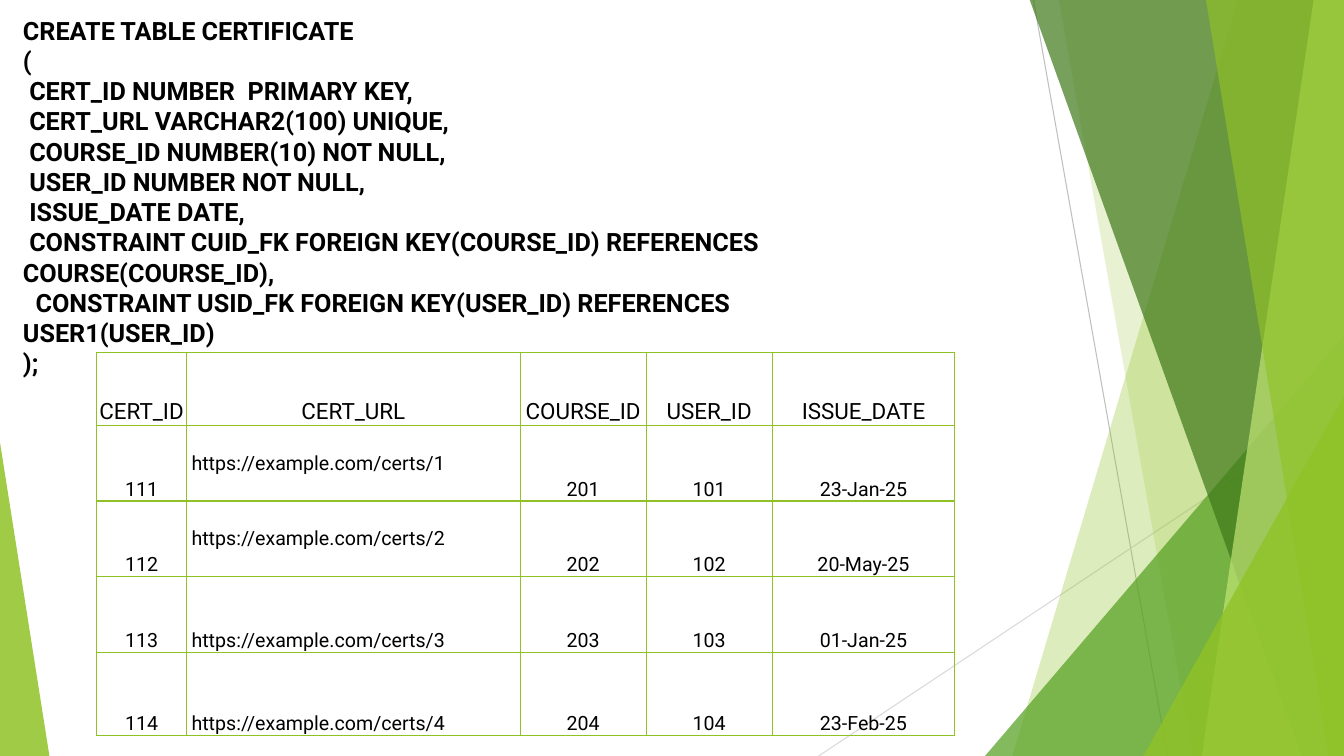
from lxml.etree import SubElement as Sub
from pptx import Presentation
from pptx.dml.color import RGBColor as Rgb
from pptx.enum.shapes import MSO_CONNECTOR as Conn, MSO_SHAPE as Shape
from pptx.enum.text import MSO_ANCHOR as Anchor, MSO_AUTO_SIZE as Auto, PP_ALIGN as Align
from pptx.oxml.ns import qn
from pptx.util import Inches, Pt

WIDE, HIGH, TOP = 13.33, 7.5, -0.01
HUES = {"lime": "90C226", "green": "54A021", "dark": "3F7819", "pale": "C0E474",
        "gray": "BFBFBF", "mist": "D9D9D9", "ink": "000000"}
RAYS = [(10.25, 0, 11.58, HIGH, "gray"), (WIDE, 4.03, 8.12, HIGH, "mist")]
BACK = [(12.28, 10.04, "lime", 30), (10.5, 11.83, "lime", 20)]
FRONT = [(10.21, 12.91, "dark", 70), (13.03, 11.92, "pale", 70), (11.96, 13.18, "lime", 65)]
CODE = """CREATE TABLE CERTIFICATE
(
 CERT_ID NUMBER  PRIMARY KEY,
 CERT_URL VARCHAR2(100) UNIQUE,
 COURSE_ID NUMBER(10) NOT NULL,
 USER_ID NUMBER NOT NULL,
 ISSUE_DATE DATE,
 CONSTRAINT CUID_FK FOREIGN KEY(COURSE_ID) REFERENCES COURSE(COURSE_ID),
  CONSTRAINT USID_FK FOREIGN KEY(USER_ID) REFERENCES
USER1(USER_ID)
);"""
HEADS = ["CERT_ID", "CERT_URL", "COURSE_ID", "USER_ID", "ISSUE_DATE"]
DATES = ["23-Jan-25", "20-May-25", "01-Jan-25", "23-Feb-25"]
COLS = [0.89, 3.31, 1.25, 1.25, 1.81]
ROWS = [0.72, 0.75, 0.75, 0.75, 0.83]


def style(item, form):
    """Set each attribute of a format dict."""
    for name, value in form.items():
        setattr(item, name, value)


def write(para, text, size, bold=False):
    """Put text in a paragraph with its font."""
    para.text = text
    style(para.font, {"name": "Roboto", "size": Pt(size), "bold": bold})
    para.font.color.rgb = Rgb.from_string(HUES["ink"])


def tint(shape, hue, alpha):
    """Fill a shape with a see-through colour and no line."""
    shape.shadow.inherit = False
    shape.line.fill.background()
    shape.fill.solid()
    shape.fill.fore_color.rgb = Rgb.from_string(HUES[hue])
    color = shape.fill._xPr.find(qn("a:solidFill"))[0]
    Sub(color, qn("a:alpha"), val=str(alpha * 1000))


def ray(shapes, x1, y1, x2, y2, hue):
    """Draw a thin straight line."""
    line = shapes.add_connector(Conn.STRAIGHT, *map(Inches, (x1, y1, x2, y2)))
    line.line.width = Pt(0.75)
    line.line.color.rgb = Rgb.from_string(HUES[hue])
    Sub(line._element.spPr, qn("a:effectLst"))


def pane(shapes, top, foot, hue, alpha):
    """Draw a slanted pane that reaches the right edge."""
    form = shapes.build_freeform(Inches(top), Inches(TOP))
    ends = [(WIDE, TOP), (WIDE, HIGH), (foot, HIGH)]
    form.add_line_segments([(Inches(x), Inches(y)) for x, y in ends])
    tint(form.convert_to_shape(), hue, alpha)


def wedge(shapes, left, top, wide, apex, hue, alpha):
    """Draw a triangle that stands on the bottom edge."""
    box = map(Inches, (left, top, wide, HIGH - top))
    shape = shapes.add_shape(Shape.ISOSCELES_TRIANGLE, *box)
    shape.adjustments[0] = apex
    tint(shape, hue, alpha)


def code(shapes):
    """Add the table statement, one paragraph a line."""
    box = shapes.add_textbox(*map(Inches, (0.13, 0.1, 9.87, 3.74)))
    frame = box.text_frame
    style(frame, {"word_wrap": True, "auto_size": Auto.SHAPE_TO_FIT_TEXT})
    for num, text in enumerate(CODE.split("\n")):
        para = frame.add_paragraph() if num else frame.paragraphs[0]
        write(para, text, 18, True)


def edge(cell):
    """Draw the four borders of a cell."""
    props = cell._tc.get_or_add_tcPr()
    for num, side in enumerate(("lnL", "lnR", "lnT", "lnB")):
        line = props.makeelement(qn("a:" + side), {"w": str(Pt(1))})
        props.insert(num, line)
        fill = Sub(line, qn("a:solidFill"))
        Sub(fill, qn("a:srgbClr"), val=HUES["lime"])


def grid(shapes):
    """Add the table of certificates."""
    rows = [HEADS]
    for num, date in enumerate(DATES, 1):
        url = f"https://example.com/certs/{num}"
        rows.append([str(110 + num), url, str(200 + num), str(100 + num), date])
    box = map(Inches, (0.96, 3.5, sum(COLS), sum(ROWS)))
    table = shapes.add_table(len(ROWS), len(COLS), *box).table
    style(table, {"first_row": False, "horz_banding": False})
    for col, wide in zip(table.columns, COLS):
        col.width = Inches(wide)
    for r, (row, high) in enumerate(zip(rows, ROWS)):
        table.rows[r].height = Inches(high)
        for c, text in enumerate(row):
            cell = table.cell(r, c)
            link = r > 0 and c == 1
            style(cell, {
                "margin_left": Inches(0.05 if link else 0.01),
                "margin_right": Inches(0.01),
                "margin_top": Inches(0.01),
                "margin_bottom": 0,
                "vertical_anchor": Anchor.MIDDLE if link and r < 3 else Anchor.BOTTOM,
            })
            cell.fill.background()
            edge(cell)
            para = cell.text_frame.paragraphs[0]
            para.alignment = Align.LEFT if link else Align.CENTER
            write(para, text, 14 if r else 16)


def main():
    """Build and save the slide."""
    deck = Presentation()
    style(deck, {"slide_width": Inches(WIDE), "slide_height": Inches(HIGH)})
    shapes = deck.slides.add_slide(deck.slide_layouts[6]).shapes
    for item in RAYS:
        ray(shapes, *item)
    for item in BACK:
        pane(shapes, *item)
    wedge(shapes, 9.77, 3.33, 3.56, 1, "green", 72)
    for item in FRONT:
        pane(shapes, *item)
    wedge(shapes, 11.34, 3.93, 1.99, 1, "lime", 80)
    wedge(shapes, 0, 4.39, 0.49, 0, "lime", 85)
    code(shapes)
    grid(shapes)
    deck.save("out.pptx")


if __name__ == "__main__":
    main()
